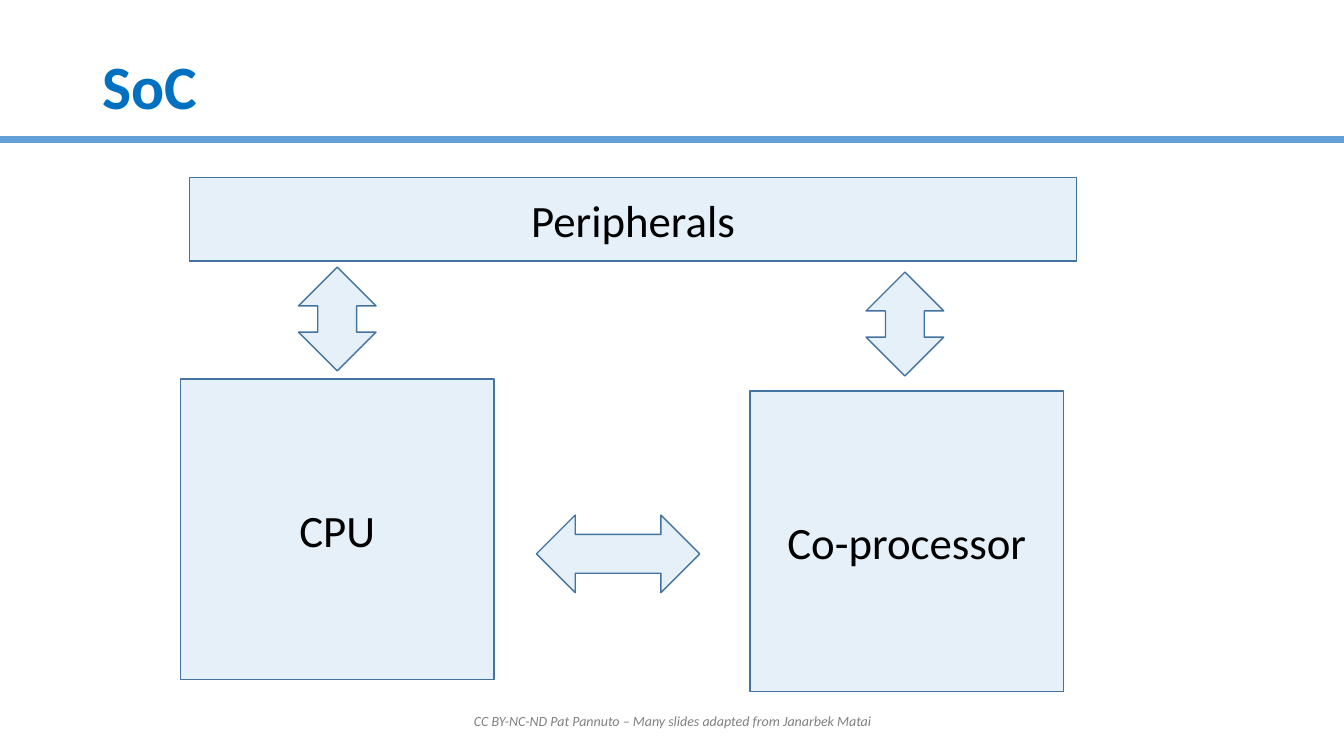
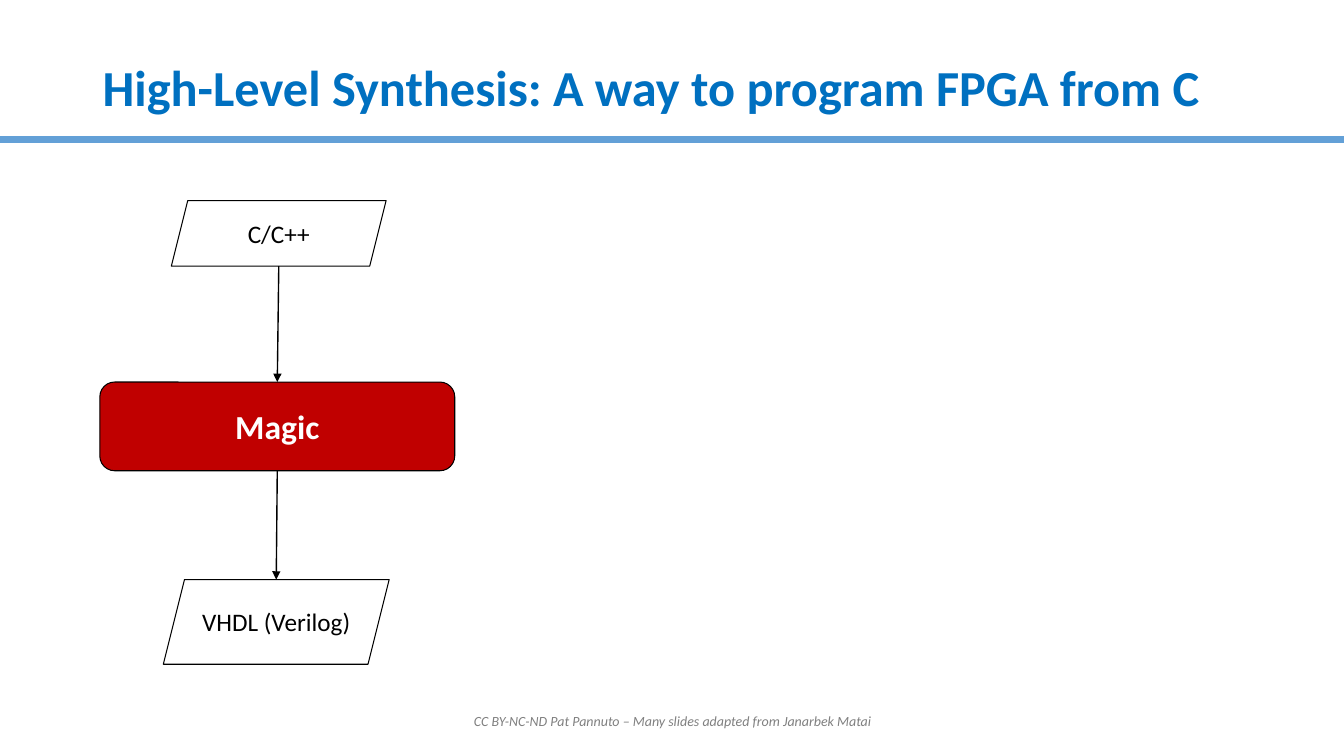
from lxml import etree
from pptx import Presentation
from pptx.dml.color import RGBColor
from pptx.enum.shapes import MSO_CONNECTOR as Connector, MSO_SHAPE as Shape
from pptx.enum.text import MSO_ANCHOR as Anchor, PP_ALIGN as Align
from pptx.oxml.ns import qn
from pptx.util import Inches, Pt

COLORS = {
    "title": "0070C0",
    "rule": "63A0D7",
    "block": "0070C0",
    "block_line": "43739E",
    "magic": "C00000",
    "ink": "000000",
    "white": "FFFFFF",
    "footer": "808080",
}
FONT = "Calibri"
WIDTH, HEIGHT = 13.33, 7.5
RULE_TOP = 1.38
FOOTER = "CC BY-NC-ND Pat Pannuto – Many slides adapted from Janarbek Matai"


def rgb(name):
    return RGBColor.from_string(COLORS[name])


def inches(*lengths):
    return [Inches(length) for length in lengths]


def write(shape, text, size, color, align=Align.CENTER, bold=False, italic=False):
    frame = shape.text_frame
    frame.word_wrap = True
    frame.vertical_anchor = Anchor.MIDDLE
    paragraph = frame.paragraphs[0]
    paragraph.alignment = align
    run = paragraph.add_run()
    run.text = text
    run.font.name = FONT
    run.font.size = Pt(size)
    run.font.bold = bold
    run.font.italic = italic
    run.font.color.rgb = rgb(color)
    return paragraph


def add_line(slide, start, end, color, weight, arrow=False):
    connector = slide.shapes.add_connector(Connector.STRAIGHT, *inches(*start, *end))
    connector.line.color.rgb = rgb(color)
    connector.line.width = Pt(weight)
    if arrow:
        outline = connector.line._get_or_add_ln()
        etree.SubElement(outline, qn("a:tailEnd"), type="triangle")
    etree.SubElement(connector._element.spPr, qn("a:effectLst"))


def add_outlined(slide, kind, box, line_color, weight, fill=None, opacity=100):
    shape = slide.shapes.add_shape(kind, *inches(*box))
    shape.shadow.inherit = False
    shape.line.color.rgb = rgb(line_color)
    shape.line.width = Pt(weight)
    if fill is None:
        shape.fill.background()
        return shape
    shape.fill.solid()
    shape.fill.fore_color.rgb = rgb(fill)
    if opacity < 100:
        color = shape.fill._xPr.find(qn("a:solidFill"))[0]
        etree.SubElement(color, qn("a:alpha"), val=str(opacity * 1000))
    return shape


def add_framed_slide(presentation, title, title_size, title_width):
    slide = presentation.slides.add_slide(presentation.slide_layouts[6])
    add_line(slide, (WIDTH, RULE_TOP), (0, RULE_TOP), "rule", 5)
    title_box = slide.shapes.add_textbox(*inches(0.92, 0.4, title_width, 0.98))
    paragraph = write(title_box, title, title_size, "title", Align.LEFT, bold=True)
    paragraph.line_spacing = 0.9
    footer_box = slide.shapes.add_textbox(*inches(4.42, 6.95, 4.5, 0.4))
    write(footer_box, FOOTER, 10, "footer", italic=True)
    return slide


def add_soc_diagram(slide, left, top):
    blocks = [
        (Shape.RECTANGLE, 0, 2, 3.11, 2.98, "CPU"),
        (Shape.RECTANGLE, 5.65, 2.12, 3.11, 2.98, "Co-processor"),
        (Shape.RECTANGLE, 0.09, 0, 8.8, 0.83, "Peripherals"),
        (Shape.LEFT_RIGHT_ARROW, 3.53, 3.35, 1.62, 0.77, None),
        (Shape.UP_DOWN_ARROW, 6.8, 0.94, 0.77, 1.03, None),
        (Shape.UP_DOWN_ARROW, 1.17, 0.89, 0.77, 1.03, None),
    ]
    for kind, across, down, width, height, label in blocks:
        box = (left + across, top + down, width, height)
        shape = add_outlined(slide, kind, box, "block_line", 1, "block", 10)
        if label:
            write(shape, label, 32, "ink")


def add_synthesis_flow(slide, left, top):
    steps = [
        (Shape.PARALLELOGRAM, 0.71, 0, 2.13, 0.65, "C/C++", 18, "ink", None),
        (Shape.ROUNDED_RECTANGLE, 0, 1.8, 3.52, 0.88, "Magic", 24, "white", "magic"),
        (Shape.PARALLELOGRAM, 0.63, 3.76, 2.24, 0.84, "VHDL (Verilog)", 18, "ink", None),
    ]
    previous_end = None
    for kind, across, down, width, height, label, size, color, fill in steps:
        box = (left + across, top + down, width, height)
        shape = add_outlined(slide, kind, box, "ink", 0.75, fill)
        write(shape, label, size, color, bold=fill is not None)
        center = left + across + width / 2
        if previous_end:
            add_line(slide, previous_end, (center, top + down), "ink", 1, arrow=True)
        previous_end = (center, top + down + height)


def main():
    presentation = Presentation()
    presentation.slide_width, presentation.slide_height = inches(WIDTH, HEIGHT)
    soc = add_framed_slide(presentation, "SoC", 44, 11.5)
    add_soc_diagram(soc, 1.79, 1.76)
    synthesis = add_framed_slide(
        presentation, "High-Level Synthesis: A way to program FPGA from C", 36, 11.85
    )
    add_synthesis_flow(synthesis, 0.99, 1.99)
    presentation.save("out.pptx")


if __name__ == "__main__":
    main()
